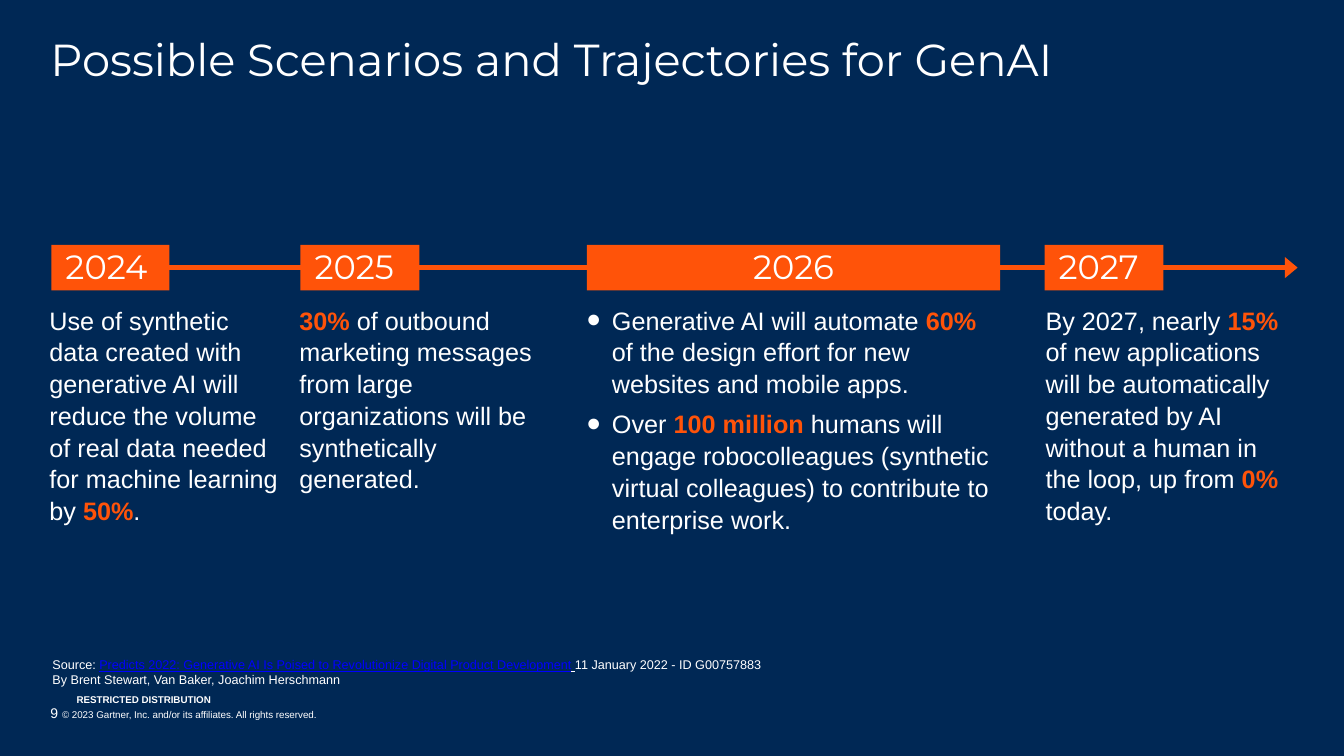
from lxml import etree
from pptx import Presentation
from pptx.dml.color import RGBColor
from pptx.enum.shapes import MSO_CONNECTOR, MSO_SHAPE
from pptx.enum.text import MSO_ANCHOR, MSO_AUTO_SIZE, PP_ALIGN
from pptx.oxml.ns import qn
from pptx.util import Inches, Pt

STRAIGHT = MSO_CONNECTOR.STRAIGHT
RECTANGLE = MSO_SHAPE.RECTANGLE
TOP = MSO_ANCHOR.TOP
NO_AUTOFIT = MSO_AUTO_SIZE.NONE
LEFT, CENTER = PP_ALIGN.LEFT, PP_ALIGN.CENTER

COLORS = {"navy": "002855", "orange": "FF5309", "white": "FFFFFF", "link": "0000FF"}
HEADING_FONT, BODY_FONT = "Montserrat", "Arial"

BAR_TOP, BAR_HEIGHT = 2.43, 0.45
TEXT_TOP = 3.0

# Year, bar left, bar width, text left, text width, text height, paragraphs
MILESTONES = [
    ("2024", 0.51, 1.17, 0.49, 2.29, 2.13, [
        "Use of synthetic data created with generative AI will reduce the volume "
        "of real data needed for machine learning by *50%*."]),
    ("2025", 2.98, 1.18, 2.97, 2.33, 1.83, [
        "*30%* of outbound marketing messages from large organizations will be "
        "synthetically generated."]),
    ("2026", 5.82, 4.1, 5.81, 4.05, 2.21, [
        "Generative AI will automate *60%* of the design effort for new websites "
        "and mobile apps.",
        "Over *100 million* humans will engage robocolleagues (synthetic virtual "
        "colleagues) to contribute to enterprise work."]),
    ("2027", 10.36, 1.18, 10.37, 2.35, 2.13, [
        "By 2027, nearly *15%* of new applications will be automatically generated "
        "by AI without a human in the loop, up from *0%* today."]),
]


def rgb(name):
    return RGBColor.from_string(COLORS[name])


def place(shape, left, top, width, height):
    shape.left, shape.top = Inches(left), Inches(top)
    shape.width, shape.height = Inches(width), Inches(height)


def prepare_frame(shape, margin_left=0):
    frame = shape.text_frame
    settings = {"word_wrap": True, "auto_size": NO_AUTOFIT, "vertical_anchor": TOP,
                "margin_left": Inches(margin_left), "margin_top": Inches(0.01),
                "margin_right": 0, "margin_bottom": 0}
    for name, value in settings.items():
        setattr(frame, name, value)
    return frame


def add_textbox(slide, left, top, width, height):
    box = slide.shapes.add_textbox(*map(Inches, (left, top, width, height)))
    return prepare_frame(box)


def next_paragraph(frame, index):
    return frame.paragraphs[0] if index == 0 else frame.add_paragraph()


def add_run(paragraph, text, size, color="white", font=BODY_FONT, **extras):
    run = paragraph.add_run()
    run.text = text
    run.font.color.rgb = rgb(color)
    formats = {"size": Pt(size), "name": font, "bold": False, **extras}
    for name, value in formats.items():
        setattr(run.font, name, value)


def add_bullet(paragraph):
    properties = paragraph._p.get_or_add_pPr()
    properties.set("marL", str(Inches(0.26)))
    properties.set("indent", str(Inches(-0.25)))
    etree.SubElement(properties, qn("a:buSzPct")).set("val", "156000")
    etree.SubElement(properties, qn("a:buChar")).set("char", "•")


def write_forecast(frame, texts, bulleted):
    """Fill a milestone's text; parts between asterisks are highlighted."""
    for index, text in enumerate(texts):
        paragraph = next_paragraph(frame, index)
        if bulleted:
            add_bullet(paragraph)
        paragraph.line_spacing = 1.05
        paragraph.space_before = Pt(6 if index else 0)
        for position, part in enumerate(text.split("*")):
            if not part:
                continue
            highlighted = position % 2 == 1
            add_run(paragraph, part, 18, "orange" if highlighted else "white",
                    bold=highlighted)


def add_title(slide, left, top, width, height):
    title = slide.shapes.title
    place(title, left, top, width, height)
    paragraph = prepare_frame(title).paragraphs[0]
    paragraph.alignment = LEFT
    add_run(paragraph, "Possible Scenarios and Trajectories for GenAI", 32,
            font=HEADING_FONT)


def add_time_arrow(slide, left, right, middle):
    arrow = slide.shapes.add_connector(
        STRAIGHT, Inches(left), Inches(middle), Inches(right), Inches(middle))
    arrow.line.color.rgb = rgb("orange")
    arrow.line.width = Pt(3)
    head = etree.SubElement(arrow.line._get_or_add_ln(), qn("a:tailEnd"))
    for name, value in {"type": "triangle", "w": "lg", "len": "med"}.items():
        head.set(name, value)
    etree.SubElement(arrow._element.spPr, qn("a:effectLst"))


def add_year_bar(slide, year, left, width, centered):
    bar = slide.shapes.add_shape(
        RECTANGLE, *map(Inches, (left, BAR_TOP, width, BAR_HEIGHT)))
    bar.shadow.inherit = False
    bar.fill.solid()
    bar.fill.fore_color.rgb = rgb("orange")
    bar.line.fill.background()
    frame = prepare_frame(bar, 0 if centered else 0.14)
    paragraph = frame.paragraphs[0]
    paragraph.alignment = CENTER if centered else LEFT
    add_run(paragraph, year, 24, font=HEADING_FONT)


def add_timeline(slide):
    add_time_arrow(slide, 1.68, 12.87, BAR_TOP + BAR_HEIGHT / 2)
    for year, bar_left, bar_width, left, width, height, texts in MILESTONES:
        is_list = len(texts) > 1
        add_year_bar(slide, year, bar_left, bar_width, is_list)
        if is_list:
            body = slide.placeholders[1]
            place(body, left, TEXT_TOP, width, height)
            frame = prepare_frame(body)
        else:
            frame = add_textbox(slide, left, TEXT_TOP, width, height)
        write_forecast(frame, texts, is_list)


def add_source(slide, left, top, width, height):
    frame = add_textbox(slide, left, top, width, height)
    citation = frame.paragraphs[0]
    add_run(citation, "Source: ", 9)
    add_run(citation, "Predicts 2022: Generative AI Is Poised to Revolutionize "
            "Digital Product Development", 9, "link", underline=True)
    add_run(citation, " ", 9, underline=True)
    add_run(citation, "11 January 2022 - ID G00757883", 9)
    add_run(frame.add_paragraph(),
            "By Brent Stewart, Van Baker, Joachim Herschmann", 9)


def add_footer(slide, left, top, width, height):
    frame = add_textbox(slide, left, top, width, height)
    frame.margin_top = 0
    lines = [
        (0.3, 7.8, [("RESTRICTED DISTRIBUTION", 7, True)]),
        (0.04, 11.3, [("9 ", 10, False),
                      ("© 2023 Gartner, Inc. and/or its affiliates. "
                       "All rights reserved.", 7, False)]),
    ]
    for index, (indent, spacing, parts) in enumerate(lines):
        paragraph = next_paragraph(frame, index)
        paragraph._p.get_or_add_pPr().set("marL", str(Inches(indent)))
        paragraph.line_spacing = Pt(spacing)
        for text, size, bold in parts:
            add_run(paragraph, text, size, bold=bold)


def main():
    presentation = Presentation()
    presentation.slide_width = Inches(13.33)
    presentation.slide_height = Inches(7.5)
    slide = presentation.slides.add_slide(presentation.slide_layouts[1])
    slide.background.fill.solid()
    slide.background.fill.fore_color.rgb = rgb("navy")
    add_title(slide, 0.5, 0.3, 12.3, 1.04)
    add_timeline(slide)
    add_source(slide, 0.52, 6.51, 7.07, 0.33)
    add_footer(slide, 0.46, 6.89, 2.86, 0.29)
    presentation.save("out.pptx")


if __name__ == "__main__":
    main()
